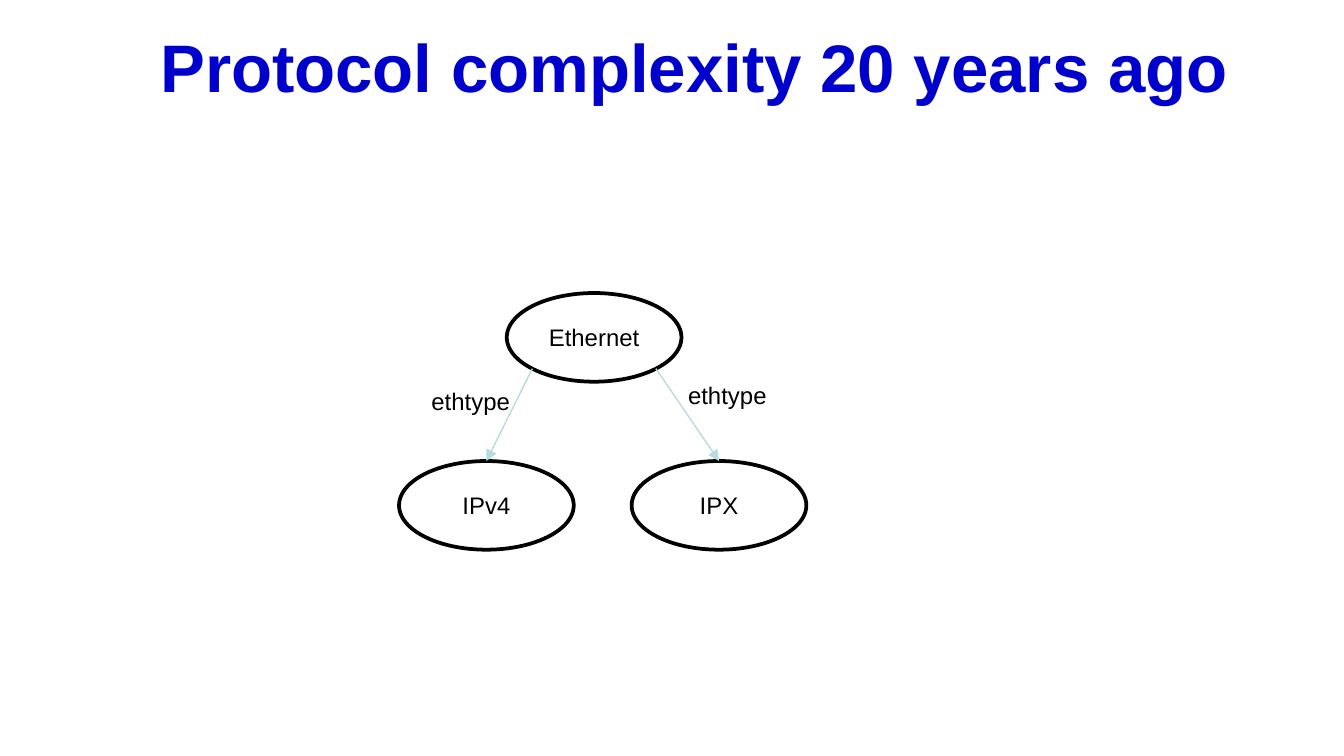
import math

import pptx
import pptx.dml.color
import pptx.enum.shapes
import pptx.enum.text
import pptx.oxml
import pptx.oxml.ns
import pptx.util

Pt = pptx.util.Pt
RGB = pptx.dml.color.RGBColor
ANCHOR = pptx.enum.text.MSO_ANCHOR
ALIGN = pptx.enum.text.PP_ALIGN
FIT = pptx.enum.text.MSO_AUTO_SIZE

BLUE = RGB(0x00, 0x00, 0xCC)
BLACK = RGB(0x00, 0x00, 0x00)
TEAL = RGB(0xB6, 0xDC, 0xDF)


class Deck:
    """Holds the style and the current slide, and draws each kind of element."""

    head = {"name": "Arial", "size": Pt(36), "bold": True}
    body = {"name": "Arial", "size": Pt(12.8), "bold": False}
    oval = (93.6, 47.5)

    def __init__(self, wide, high):
        self.file = pptx.Presentation()
        self.file.slide_width = Pt(wide)
        self.file.slide_height = Pt(high)
        self.slide = self.file.slides.add_slide(self.file.slide_layouts[5])

    def fill_text(self, frame, text, style, color, align):
        frame.text = text
        para = frame.paragraphs[0]
        para.alignment = align
        font = para.runs[0].font
        for key, value in style.items():
            setattr(font, key, value)
        font.color.rgb = color

    def title(self, text, left, top, wide, high):
        shape = self.slide.shapes.title
        box = {"left": left, "top": top, "width": wide, "height": high}
        for key, value in box.items():
            setattr(shape, key, Pt(value))
        frame = shape.text_frame
        frame.auto_size = FIT.NONE
        frame.vertical_anchor = ANCHOR.MIDDLE
        self.fill_text(frame, text, self.head, BLUE, ALIGN.CENTER)

    def node(self, text, left, top):
        kind = pptx.enum.shapes.MSO_SHAPE.OVAL
        box = (Pt(value) for value in (left, top, *self.oval))
        shape = self.slide.shapes.add_shape(kind, *box)
        shape.shadow.inherit = False
        shape.fill.background()
        shape.line.color.rgb = BLACK
        shape.line.width = Pt(2)
        shape.text_frame.vertical_anchor = ANCHOR.MIDDLE
        self.fill_text(shape.text_frame, text, self.body, BLACK, ALIGN.CENTER)
        return shape

    def arrow(self, start, end, side):
        reach = math.sqrt(0.5)
        x = start.left + start.width * (1 + side * reach) / 2
        y = start.top + start.height * (1 + reach) / 2
        kind = pptx.enum.shapes.MSO_CONNECTOR.STRAIGHT
        line = self.slide.shapes.add_connector(
            kind, int(x), int(y), end.left + end.width // 2, end.top)
        line.end_connect(end, 0)
        line.line.color.rgb = TEAL
        line.line.width = Pt(0.75)
        space = pptx.oxml.ns.nsdecls("a")
        props = line._element.spPr
        tip = pptx.oxml.parse_xml(f'<a:tailEnd {space} type="triangle"/>')
        props.find(pptx.oxml.ns.qn("a:ln")).append(tip)
        props.append(pptx.oxml.parse_xml(f"<a:effectLst {space}/>"))

    def label(self, text, left, top):
        box = (Pt(value) for value in (left, top, 57, 23))
        frame = self.slide.shapes.add_textbox(*box).text_frame
        frame.word_wrap = False
        frame.auto_size = FIT.SHAPE_TO_FIT_TEXT
        self.fill_text(frame, text, self.body, BLACK, ALIGN.LEFT)


def main():
    deck = Deck(720, 405)
    deck.title("Protocol complexity 20 years ago", 24, 16.5, 696, 37.5)
    root = deck.node("Ethernet", 271.5, 157)
    left = deck.node("IPv4", 213.8, 247)
    right = deck.node("IPX", 338.4, 247)
    deck.arrow(root, left, -1)
    deck.arrow(root, right, 1)
    for x, y in ((224, 203.8), (361.5, 200.2)):
        deck.label("ethtype", x, y)
    deck.file.save("out.pptx")


if __name__ == "__main__":
    main()
